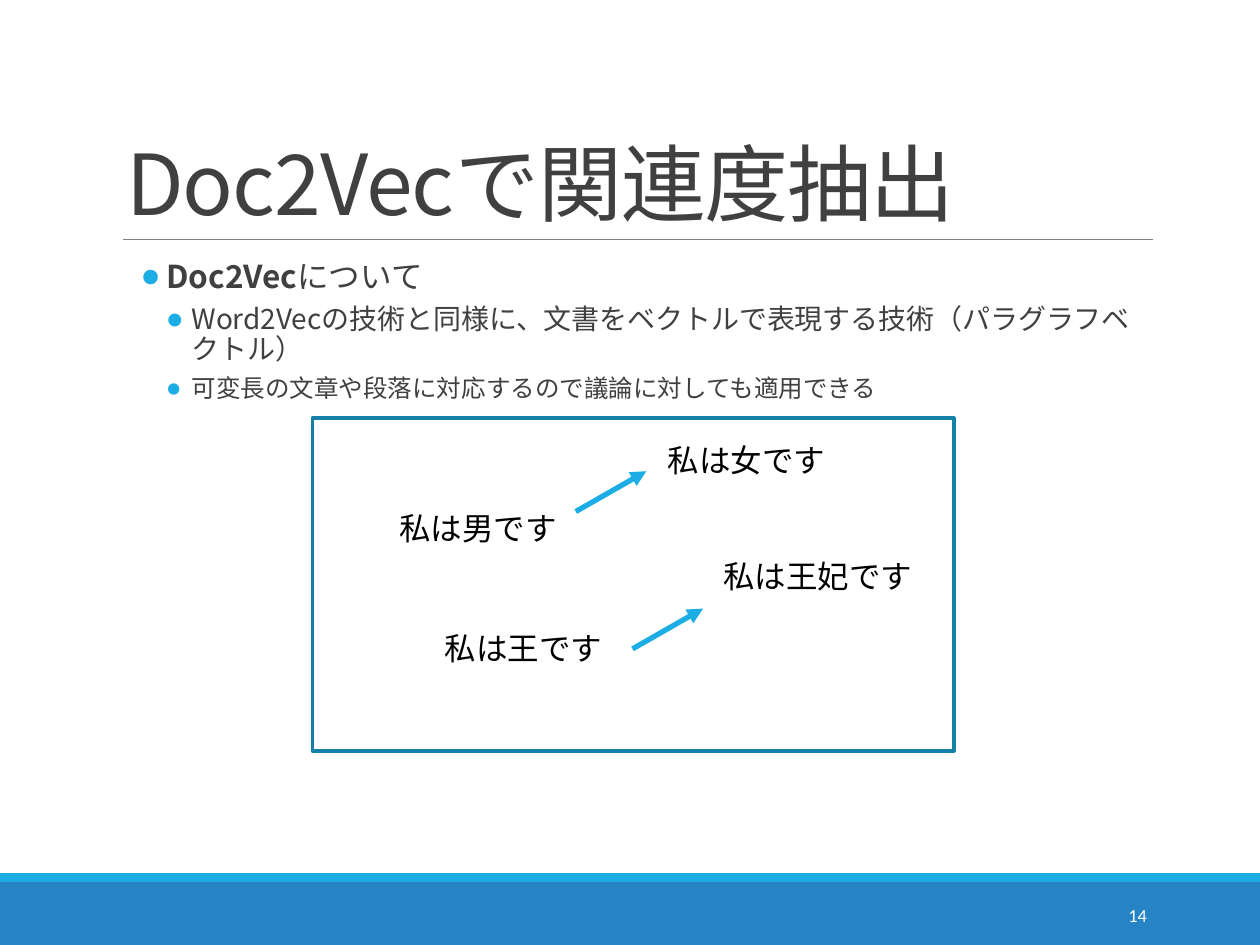
from lxml.etree import SubElement
from pptx import Presentation
from pptx.dml.color import RGBColor
from pptx.enum.shapes import MSO_CONNECTOR as CONNECTOR, MSO_SHAPE as SHAPE
from pptx.enum.text import MSO_ANCHOR as ANCHOR, MSO_AUTO_SIZE as AUTOSIZE, PP_ALIGN as ALIGN
from pptx.oxml.ns import qn
from pptx.util import Pt

BLUE = RGBColor(0x26, 0x83, 0xC6)
CYAN = RGBColor(0x1C, 0xAD, 0xE4)
FRAME_BLUE = RGBColor(0x15, 0x80, 0xA9)
GRAY = RGBColor(0x80, 0x80, 0x80)
DARK = RGBColor(0x40, 0x40, 0x40)
BLACK = RGBColor(0, 0, 0)
WHITE = RGBColor(0xFF, 0xFF, 0xFF)
JAPANESE = "Noto Sans CJK JP"
LATIN = "Calibri"


def set_font(paragraph, name, size, color):
    font = paragraph.font
    font.name, font.size = name, Pt(size)
    font.color.rgb = color
    properties = paragraph._p.pPr.find(qn("a:defRPr"))
    SubElement(properties, qn("a:ea"), typeface=JAPANESE)
    return properties


def add_line(start, end, color, width):
    line = slide.shapes.add_connector(CONNECTOR.STRAIGHT, *map(Pt, start + end))
    line.line.color.rgb = color
    line.line.width = Pt(width)
    SubElement(line._element.spPr, qn("a:effectLst"))
    return line


prs = Presentation()
prs.slide_width, prs.slide_height = Pt(720), Pt(540)
slide = prs.slides.add_slide(prs.slide_layouts[1])

# Footer bands and title rule
for top, height, color in [(504, 36, BLUE), (498.96, 5.04, CYAN)]:
    band = slide.shapes.add_shape(SHAPE.RECTANGLE, 0, Pt(top), Pt(720), Pt(height))
    band.shadow.inherit = False
    band.fill.solid()
    band.fill.fore_color.rgb = color
    band.line.fill.background()
add_line((70.56, 136.8), (658.8, 136.8), GRAY, 0.5)

# Title
title = slide.shapes.title
title.left, title.top, title.width, title.height = map(Pt, (64.8, 22.32, 594, 114.48))
title.text_frame.auto_size = AUTOSIZE.NONE
title.text_frame.vertical_anchor = ANCHOR.BOTTOM
heading = title.text_frame.paragraphs[0]
heading.text = "Doc2Vecで関連度抽出"
heading.alignment = ALIGN.LEFT
heading.line_spacing = 0.85
set_font(heading, JAPANESE, 48, DARK).set("spc", "-50")

# Bullet list: level, size, runs as (text, bold)
points = [
    (1, 18, [("Doc2Vec", True), ("について", False)]),
    (2, 16, [("Word2Vecの技術と同様に、文書をベクトルで表現する技術（パラグラフベクトル）", False)]),
    (2, 14, [("可変長の文章や段落に対応するので議論に対しても適用できる", False)]),
]
body = slide.placeholders[1]
body.left, body.top, body.width, body.height = map(Pt, (64.8, 145.44, 594, 316.8))
body_frame = body.text_frame
body_frame.auto_size = AUTOSIZE.NONE
body_frame.margin_left = body_frame.margin_right = 0
for index, (level, size, runs) in enumerate(points):
    point = body_frame.add_paragraph() if index else body_frame.paragraphs[0]
    point.level = level
    properties = point._p.get_or_add_pPr()
    properties.set("marL", str(Pt(15.84 + 14.4 * level)))
    properties.set("indent", str(Pt(-14.4)))
    bullet_color = SubElement(properties, qn("a:buClr"))
    SubElement(bullet_color, qn("a:srgbClr"), val=str(CYAN))
    SubElement(properties, qn("a:buFont"), typeface=LATIN)
    SubElement(properties, qn("a:buChar"), char="●")
    point.line_spacing = 0.9
    point.space_before, point.space_after = Pt(2 if index else 0), Pt(4)
    set_font(point, JAPANESE, size, DARK)
    for text, bold in runs:
        run = point.add_run()
        run.text = text
        run.font.bold = bold

# Vector space frame
space = slide.shapes.add_shape(SHAPE.RECTANGLE, Pt(178.56), Pt(239.04), Pt(366.48), Pt(190.08))
space.shadow.inherit = False
space.fill.background()
space.line.color.rgb = FRAME_BLUE
space.line.width = Pt(2.25)

# Sentences and page number: text, left, top, width, size, colour, alignment
labels = [
    ("私は男です", 221.04, 287.28, 130, 18, BLACK, ALIGN.LEFT),
    ("私は女です", 374.4, 248.4, 130, 18, BLACK, ALIGN.LEFT),
    ("私は王妃です", 406.08, 314.64, 130, 18, BLACK, ALIGN.LEFT),
    ("私は王です", 246.96, 355.68, 130, 18, BLACK, ALIGN.LEFT),
    ("14", 584.64, 508.32, 77.76, 10.5, WHITE, ALIGN.RIGHT),
]
for text, left, top, width, size, color, alignment in labels:
    label = slide.shapes.add_textbox(Pt(left), Pt(top), Pt(width), Pt(28.8)).text_frame
    label.word_wrap = True
    label.vertical_anchor = ANCHOR.MIDDLE if alignment == ALIGN.RIGHT else ANCHOR.TOP
    sentence = label.paragraphs[0]
    sentence.text = text
    sentence.alignment = alignment
    set_font(sentence, LATIN, size, color)

# Parallel arrows from male to female sentences
for left, bottom in [(329.04, 292.32), (361.44, 370.8)]:
    arrow = add_line((left, bottom), (left + 40.32, bottom - 23.04), CYAN, 3)
    SubElement(arrow.line._get_or_add_ln(), qn("a:tailEnd"), type="triangle")

prs.save("out.pptx")
